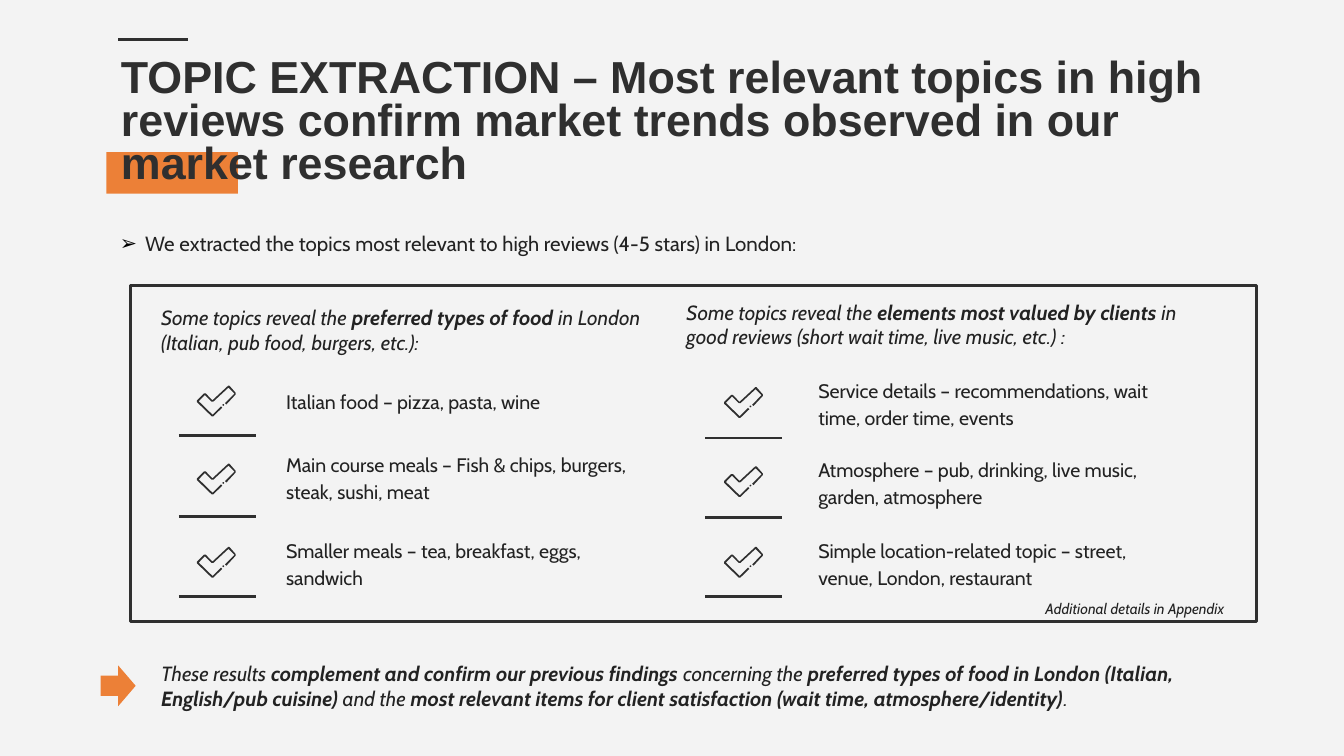
from dataclasses import dataclass

from lxml import etree
from pptx import Presentation
from pptx import util as u
from pptx.dml.color import RGBColor
from pptx.enum import shapes, text
from pptx.oxml import ns


@dataclass(frozen=True)
class Theme:
    paper: RGBColor = RGBColor.from_string("F3F3F3")
    ink: RGBColor = RGBColor.from_string("2F2F2F")
    copy: RGBColor = RGBColor.from_string("222222")
    bullet: str = "000000"
    accent: RGBColor = RGBColor.from_string("EC8037")
    title_font: str = "Arial"
    body_font: str = "Cabin"
    title_size: float = 24
    body_size: float = 11
    topic_size: float = 10.5
    note_size: float = 8
    line_width: float = 1.5


@dataclass(frozen=True)
class Span:
    words: str
    bold: bool = False


@dataclass(frozen=True)
class Area:
    left: float
    top: float
    width: float
    height: float

    def lengths(self) -> tuple:
        return u.Pt(self.left), u.Pt(self.top), u.Pt(self.width), u.Pt(self.height)


@dataclass(frozen=True)
class Topic:
    words: str
    text_top: float
    check_top: float
    rule_y: float


@dataclass(frozen=True)
class Column:
    heading: Area
    spans: list[Span]
    rule_left: float
    check_left: float
    text_left: float
    topics: list[Topic]


THEME = Theme()
RULE_WIDTH = 41.4
TOPIC_WIDTH, TOPIC_HEIGHT = 206, 25.2
# Outline of the check mark, in tenths of a point
CHECK_UNIT = u.Pt(0.1)
CHECK = [(168, 0), (83, 79), (48, 42), (38, 42), (0, 80), (0, 88), (79, 164),
         (88, 164), (136, 118), (129, 111), (84, 156), (10, 84), (43, 50),
         (79, 86), (88, 86), (169, 11), (201, 43), (151, 94), (158, 101),
         (208, 47), (208, 39), (174, 0)]

COLUMNS = [
    Column(
        Area(79.2, 159.8, 283, 33.8),
        [Span("Some topics reveal the "), Span("preferred types of food ", True),
         Span("in London (Italian, pub food, burgers, etc.):")],
        95.8, 105.5, 146.2,
        [Topic("Italian food – pizza, pasta, wine", 201.6, 206.6, 233.3),
         Topic("Main course meals – Fish & chips, burgers, steak, sushi, meat",
               242.6, 248.4, 276.5),
         Topic("Smaller meals – tea, breakfast, eggs, sandwich", 288.7, 293, 319.7)]),
    Column(
        Area(360.7, 157, 299.5, 33.8),
        [Span("Some topics reveal the "), Span("elements most valued by clients ", True),
         Span("in good reviews (short wait time, live music, etc.) :")],
        377.8, 387.9, 431.3,
        [Topic("Service details – recommendations, wait time, order time, events",
               203, 207.4, 234.7),
         Topic("Atmosphere – pub, drinking, live music, garden, atmosphere",
               245.5, 249.8, 277.2),
         Topic("Simple location-related topic – street, venue, London, restaurant",
               288.7, 293, 319.7)]),
]
CONCLUSION = [
    Span("These results "),
    Span("complement and confirm our previous findings ", True),
    Span("concerning the "),
    Span("preferred types of food in London (Italian, English/pub cuisine) ", True),
    Span("and the "),
    Span("most relevant items for client satisfaction (wait time, atmosphere/identity)", True),
    Span("."),
]


def place(shape, area: Area) -> None:
    shape.left, shape.top, shape.width, shape.height = area.lengths()


def set_font(para, size: float, color: RGBColor = THEME.copy,
             name: str = THEME.body_font, italic: bool = False) -> None:
    font = para.font
    font.name, font.size, font.italic = name, u.Pt(size), italic
    font.color.rgb = color


def set_margins(frame, size: float) -> None:
    frame.margin_left = frame.margin_right = u.Pt(size)
    frame.margin_top = frame.margin_bottom = u.Pt(size)


def add_text(page, area: Area, spans: list[Span], size: float,
             italic: bool = False, wrap: bool = True):
    box = page.shapes.add_textbox(*area.lengths())
    box.text_frame.word_wrap = wrap
    para = box.text_frame.paragraphs[0]
    set_font(para, size, italic=italic)
    for span in spans:
        run = para.add_run()
        run.text = span.words
        if span.bold:
            run.font.bold = True
    return box


def paint(shape, color: RGBColor) -> None:
    shape.shadow.inherit = False
    shape.fill.solid()
    shape.fill.fore_color.rgb = color
    shape.line.fill.background()


def add_block(page, kind, area: Area, color: RGBColor):
    block = page.shapes.add_shape(kind, *area.lengths())
    paint(block, color)
    return block


def add_rule(page, left: float, y: float, width: float) -> None:
    rule = page.shapes.add_connector(
        shapes.MSO_CONNECTOR.STRAIGHT, u.Pt(left), u.Pt(y), u.Pt(left + width), u.Pt(y))
    rule.line.color.rgb = THEME.ink
    rule.line.width = u.Pt(THEME.line_width)
    etree.SubElement(rule.element.spPr, ns.qn("a:effectLst"))


def add_check(page, left: float, top: float) -> None:
    group = page.shapes.add_group_shape()
    builder = group.shapes.build_freeform(*CHECK[0], scale=CHECK_UNIT)
    builder.add_line_segments(CHECK[1:], close=True)
    paint(builder.convert_to_shape(u.Pt(left), u.Pt(top)), THEME.ink)
    dot = Area(left + 13.7, top + 9.9, 0.9, 0.9)
    paint(group.shapes.add_shape(shapes.MSO_SHAPE.OVAL, *dot.lengths()), THEME.ink)


def add_column(page, column: Column) -> None:
    add_text(page, column.heading, column.spans, THEME.body_size, italic=True)
    for topic in column.topics:
        add_check(page, column.check_left, topic.check_top)
        add_rule(page, column.rule_left, topic.rule_y, RULE_WIDTH)
        area = Area(column.text_left, topic.text_top, TOPIC_WIDTH, TOPIC_HEIGHT)
        frame = add_text(page, area, [Span(topic.words)], THEME.topic_size).text_frame
        frame.vertical_anchor = text.MSO_ANCHOR.MIDDLE
        set_margins(frame, 7.2)
        frame.paragraphs[0].line_spacing = 1.15


def fill_title(page) -> None:
    title = page.shapes.title
    place(title, Area(57.6, 24.5, 628.5, 74.2))
    frame = title.text_frame
    frame.text = ("TOPIC EXTRACTION – Most relevant topics in high reviews "
                  "confirm market trends observed in our market research")
    frame.word_wrap, frame.auto_size = True, text.MSO_AUTO_SIZE.NONE
    frame.vertical_anchor = text.MSO_ANCHOR.TOP
    set_margins(frame, 7.2)
    para = frame.paragraphs[0]
    para.alignment, para.line_spacing = text.PP_ALIGN.LEFT, 0.8
    set_font(para, THEME.title_size, THEME.ink, THEME.title_font)
    para.font.bold = True
    # The accent block lies behind the title
    accent = add_block(page, shapes.MSO_SHAPE.RECTANGLE,
                       Area(57, 81.5, 70.5, 22.3), THEME.accent)
    title.element.addprevious(accent.element)
    add_rule(page, 63.4, 21, 37.4)


def fill_intro(page) -> None:
    body = page.placeholders[1]
    place(body, Area(57, 120, 422, 21))
    frame = body.text_frame
    frame.text = "We extracted the topics most relevant to high reviews (4-5 stars) in London:"
    frame.word_wrap, frame.auto_size = False, text.MSO_AUTO_SIZE.SHAPE_TO_FIT_TEXT
    para = frame.paragraphs[0]
    para.space_before = u.Pt(0)
    props = para._p.get_or_add_pPr()
    props.set("marL", str(u.Pt(13.5)))
    props.set("indent", str(u.Pt(-13.5)))
    color = etree.SubElement(props, ns.qn("a:buClr"))
    etree.SubElement(color, ns.qn("a:srgbClr"), val=THEME.bullet)
    etree.SubElement(props, ns.qn("a:buChar"), char="➢")
    set_font(para, THEME.body_size)


def main() -> None:
    deck = Presentation()
    deck.slide_width, deck.slide_height = u.Pt(720), u.Pt(405)
    page = deck.slides.add_slide(deck.slide_layouts[1])
    page.background.fill.solid()
    page.background.fill.fore_color.rgb = THEME.paper

    fill_title(page)
    fill_intro(page)

    # Framed topics in two columns
    frame = add_block(page, shapes.MSO_SHAPE.RECTANGLE,
                      Area(69.8, 152.8, 603.2, 180.2), THEME.paper)
    frame.fill.background()
    frame.line.color.rgb = THEME.ink
    frame.line.width = u.Pt(THEME.line_width)
    for column in COLUMNS:
        add_column(page, column)
    add_text(page, Area(553, 317.5, 125.3, 17), [Span("Additional details in Appendix")],
             THEME.note_size, italic=True, wrap=False)

    # Conclusion with its arrow
    add_block(page, shapes.MSO_SHAPE.RIGHT_ARROW, Area(54, 356.5, 18.7, 21.8), THEME.accent)
    add_text(page, Area(79.2, 350.6, 602.6, 33.8), CONCLUSION, THEME.body_size, italic=True)
    deck.save("out.pptx")


if __name__ == "__main__":
    main()
